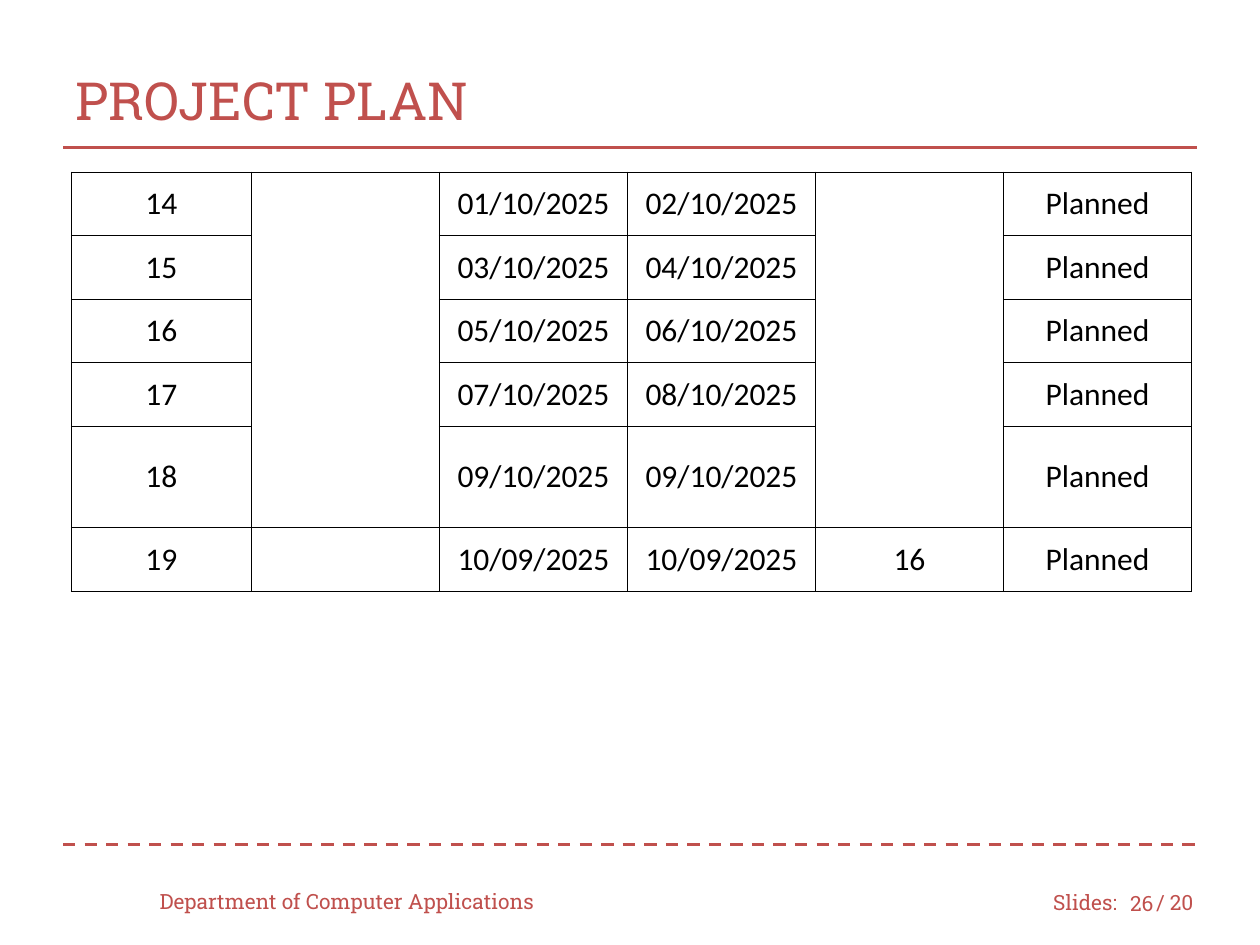
from lxml import etree
from pptx import Presentation
from pptx.dml.color import RGBColor
from pptx.enum import dml, shapes, text
from pptx.oxml.ns import qn
from pptx.util import Cm, Pt

RED = RGBColor(0xC0, 0x50, 0x4D)
BLACK = RGBColor(0, 0, 0)
WHITE = RGBColor(255, 255, 255)
SLAB = "Roboto Slab"
MID = text.MSO_ANCHOR.MIDDLE
ALIGN = text.PP_ALIGN

DATES = [
    ("01/10/2025", "02/10/2025"),
    ("03/10/2025", "04/10/2025"),
    ("05/10/2025", "06/10/2025"),
    ("07/10/2025", "08/10/2025"),
    ("09/10/2025", "09/10/2025"),
    ("10/09/2025", "10/09/2025"),
]
FIRST = 14
WIDTHS = [3.63] + [3.79] * 5
HEIGHTS = [1.28] * 4 + [2.05, 1.28]


def add_run(para, words, size, font, color):
    run = para.add_run()
    run.text = words
    run.font.size = Pt(size)
    run.font.name = font
    run.font.color.rgb = color


def add_label(slide, words, box, size=12, align=ALIGN.LEFT):
    frame = slide.shapes.add_textbox(*map(Cm, box)).text_frame
    frame.word_wrap = True
    frame.vertical_anchor = MID
    para = frame.paragraphs[0]
    para.alignment = align
    add_run(para, words, size, SLAB, RED)


def add_rule(slide, y, dash=None):
    rule = slide.shapes.add_connector(
        shapes.MSO_CONNECTOR.STRAIGHT, Cm(1.27), Cm(y), Cm(24.13), Cm(y))
    rule.line.color.rgb = RED
    rule.line.width = Pt(1.75)
    if dash:
        rule.line.dash_style = dash
    etree.SubElement(rule._element.spPr, qn("a:effectLst"))


def add_edges(cell):
    props = cell._tc.get_or_add_tcPr()
    for side in "LRTB":
        edge = etree.SubElement(props, qn(f"a:ln{side}"), w=str(Pt(0.75)))
        fill = etree.SubElement(edge, qn("a:solidFill"))
        etree.SubElement(fill, qn("a:srgbClr"), val=str(BLACK))


def fill_cell(cell, words):
    if cell.is_spanned:
        return
    add_edges(cell)
    cell.fill.solid()
    cell.fill.fore_color.rgb = WHITE
    if words:
        cell.vertical_anchor = MID
        cell.margin_left = cell.margin_right = Cm(0.25)
        cell.margin_top = cell.margin_bottom = Cm(0.25)
        para = cell.text_frame.paragraphs[0]
        para.alignment = ALIGN.CENTER
        add_run(para, words, 18, "Calibri", BLACK)


def add_plan(slide):
    last = len(DATES) - 1
    table = slide.shapes.add_table(
        len(DATES), len(WIDTHS), Cm(1.44), Cm(3.47),
        Cm(sum(WIDTHS)), Cm(sum(HEIGHTS))).table
    table.first_row = table.horz_banding = False
    for col, width in zip(table.columns, WIDTHS):
        col.width = Cm(width)
    for row, height in zip(table.rows, HEIGHTS):
        row.height = Cm(height)
    for c in (1, 4):
        table.cell(0, c).merge(table.cell(last - 1, c))
    for r, (start, end) in enumerate(DATES):
        hours = "16" if r == last else ""
        line = (str(FIRST + r), "", start, end, hours, "Planned")
        for c, words in enumerate(line):
            fill_cell(table.cell(r, c), words)


def main():
    deck = Presentation()
    deck.slide_width, deck.slide_height = Cm(25.4), Cm(19.05)
    slide = deck.slides.add_slide(deck.slide_layouts[6])
    add_label(slide, "Slides:", (20.98, 17.68, 1.91, 1.02))
    add_label(slide, "/ 20", (23.06, 17.68, 1.47, 1.02))
    add_rule(slide, 17.02, dml.MSO_LINE.DASH)
    add_rule(slide, 2.97)
    add_label(slide, "PROJECT PLAN", (1.27, 0.84, 22.86, 2.34), 30)
    add_label(slide, "Department of Computer Applications",
              (2.97, 17.65, 8.46, 1.02))
    add_label(slide, "26", (22.43, 17.7, 1.07, 1.02), align=ALIGN.RIGHT)
    add_plan(slide)
    deck.save("out.pptx")


if __name__ == "__main__":
    main()
